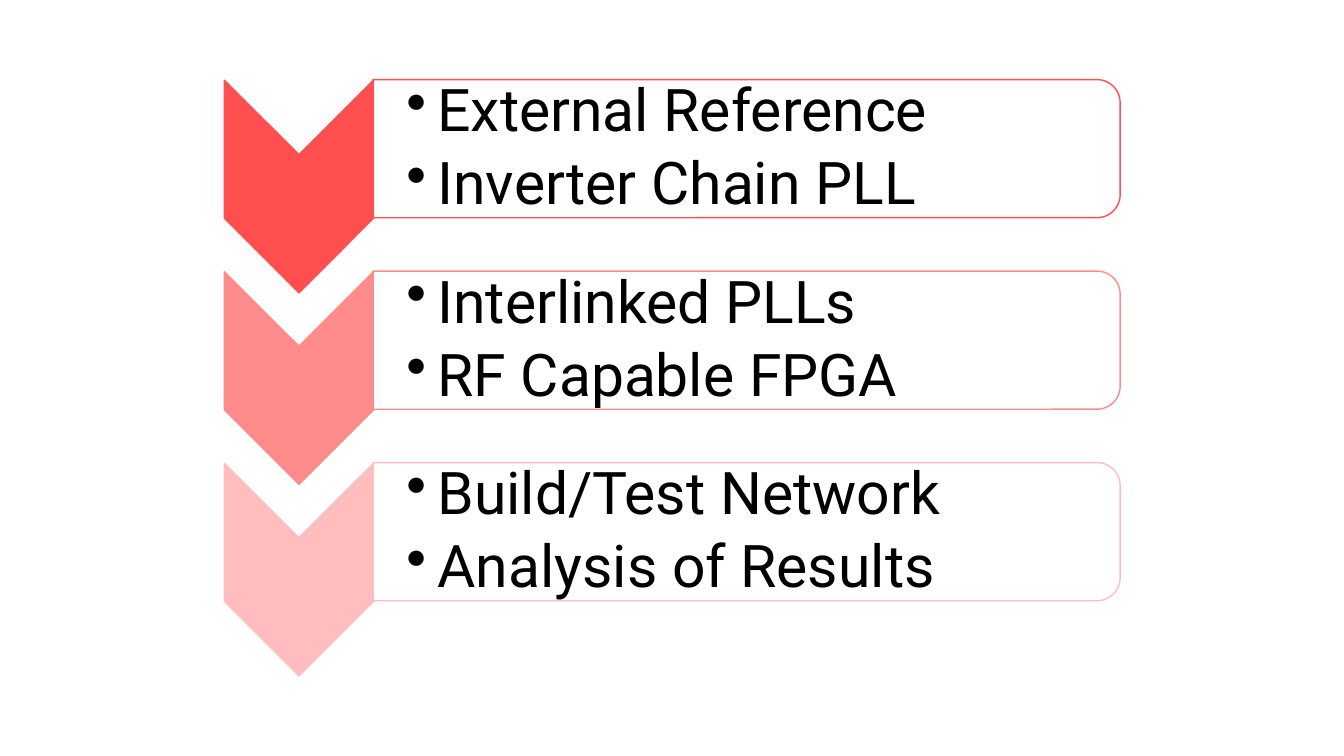
"""Build a slide with three downward chevron steps, each beside a bulleted panel."""
from dataclasses import dataclass

from lxml import etree
from pptx import Presentation
from pptx.dml.color import RGBColor
from pptx.enum.shapes import MSO_SHAPE
from pptx.enum.text import MSO_ANCHOR
from pptx.oxml.ns import qn
from pptx.shapes.autoshape import Shape
from pptx.slide import Slide
from pptx.util import Inches, Length, Pt

CHEVRON = MSO_SHAPE.CHEVRON
PANEL = MSO_SHAPE.ROUND_2_SAME_RECTANGLE
MIDDLE = MSO_ANCHOR.MIDDLE

RED = RGBColor(0xFF, 0x4F, 0x4F)
CORAL = RGBColor(0xFF, 0x8B, 0x8B)
PINK = RGBColor(0xFF, 0xBD, 0xBD)
WHITE = RGBColor(0xFF, 0xFF, 0xFF)
BLACK = RGBColor(0, 0, 0)

STEP_PITCH = Inches(1.9)
INDENT = Inches(0.31)
FRAME_FORMAT = {
    "word_wrap": True,
    "vertical_anchor": MIDDLE,
    "margin_left": Inches(0.33),
    "margin_top": Inches(0.03),
    "margin_right": Inches(0.03),
    "margin_bottom": Inches(0.03),
}
PARAGRAPH_FORMAT = {"level": 1, "line_spacing": 0.9, "space_after": Pt(7)}
FONT_FORMAT = {"name": "Roboto", "size": Pt(42)}


@dataclass(frozen=True)
class Step:
    """One stage of the plan."""

    color: RGBColor
    bullets: tuple[str, ...]


STEPS = (
    Step(RED, ("External Reference", "Inverter Chain PLL")),
    Step(CORAL, ("Interlinked PLLs", "RF Capable FPGA")),
    Step(PINK, ("Build/Test Network", "Analysis of Results")),
)


def apply_format(target: object, values: dict[str, object]) -> None:
    """Set each named attribute on the target."""
    for name, value in values.items():
        setattr(target, name, value)


def add_turned_shape(
    s: Slide, kind: MSO_SHAPE, left: Length, top: Length, width: Length,
    height: Length, fill: RGBColor, line: RGBColor,
) -> Shape:
    """Add a preset shape turned a quarter clockwise."""
    sp = s.shapes.add_shape(kind, left, top, width, height)
    sp.rotation = 90
    sp.shadow.inherit = False
    sp.fill.solid()
    sp.fill.fore_color.rgb = fill
    sp.line.color.rgb = line
    sp.line.width = Pt(1)
    return sp


def add_bullets(s: Slide, top: Length, bullets: tuple[str, ...]) -> None:
    """Add a text box with one bulleted paragraph per item."""
    sp = s.shapes.add_textbox(Inches(3.7), top, Inches(7.34), Inches(1.24))
    tf = sp.text_frame
    apply_format(tf, FRAME_FORMAT)
    for i, text in enumerate(bullets):
        p = tf.add_paragraph() if i else tf.paragraphs[0]
        apply_format(p, PARAGRAPH_FORMAT)
        p_pr = p._p.get_or_add_pPr()
        p_pr.set("marL", str(INDENT))
        p_pr.set("indent", str(-INDENT))
        etree.SubElement(p_pr, qn("a:buChar")).set("char", "•")
        r = p.add_run()
        r.text = text
        apply_format(r.font, FONT_FORMAT)
        r.font.color.rgb = BLACK


def add_step(s: Slide, step: Step, offset: Length) -> None:
    """Draw the chevron, panel and bullets of one step."""
    add_turned_shape(s, CHEVRON, Inches(1.91), Inches(1.11) + offset,
                     Inches(2.11), Inches(1.48), step.color, step.color)
    add_turned_shape(s, PANEL, Inches(6.72), Inches(-2.23) + offset,
                     Inches(1.37), Inches(7.41), WHITE, step.color)
    add_bullets(s, Inches(0.86) + offset, step.bullets)


def main() -> None:
    """Build and save the slide."""
    prs = Presentation()
    prs.slide_width = Inches(13.33)
    prs.slide_height = Inches(7.5)
    s = prs.slides.add_slide(prs.slide_layouts[6])
    for i, step in enumerate(STEPS):
        add_step(s, step, i * STEP_PITCH)
    prs.save("out.pptx")


main()
